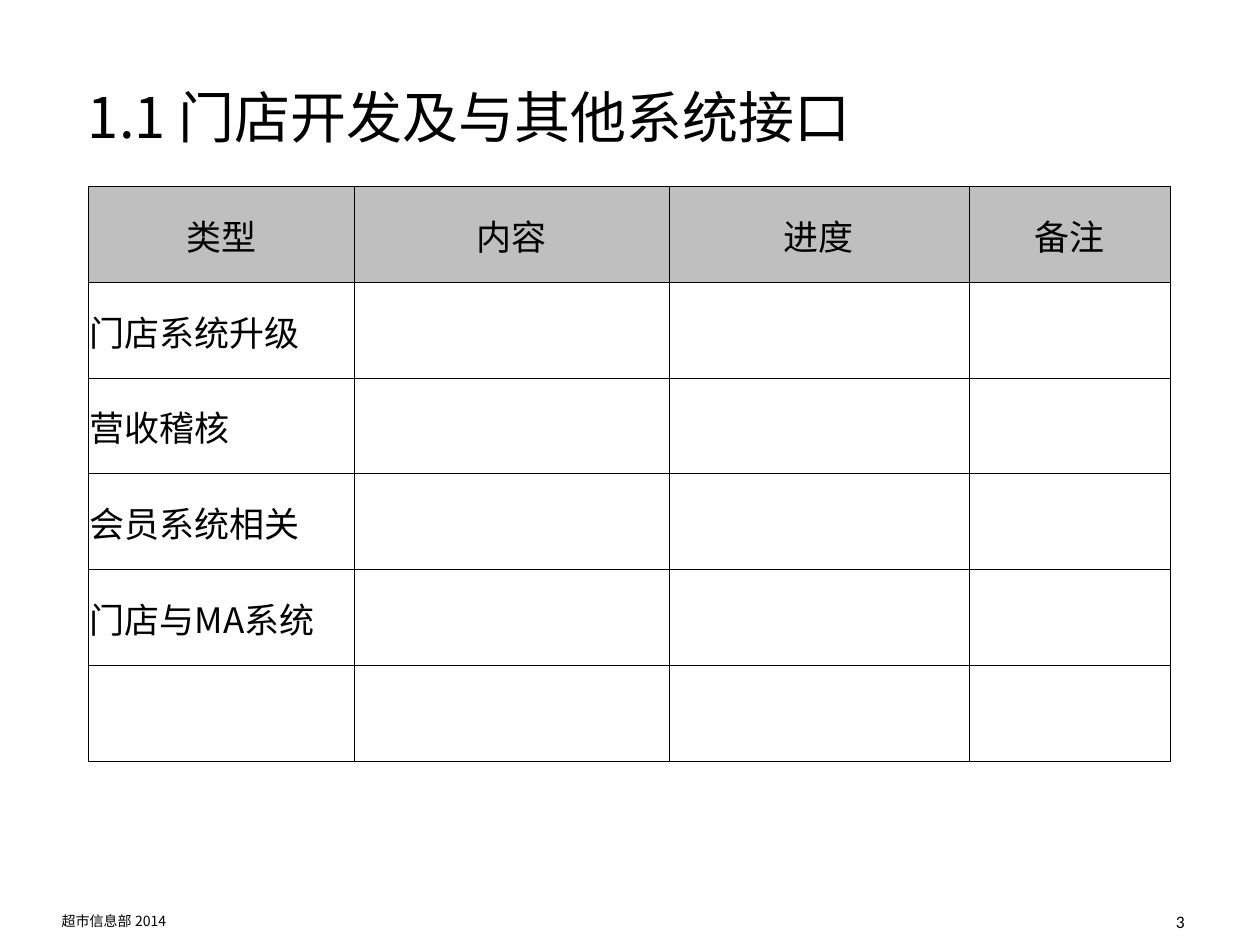
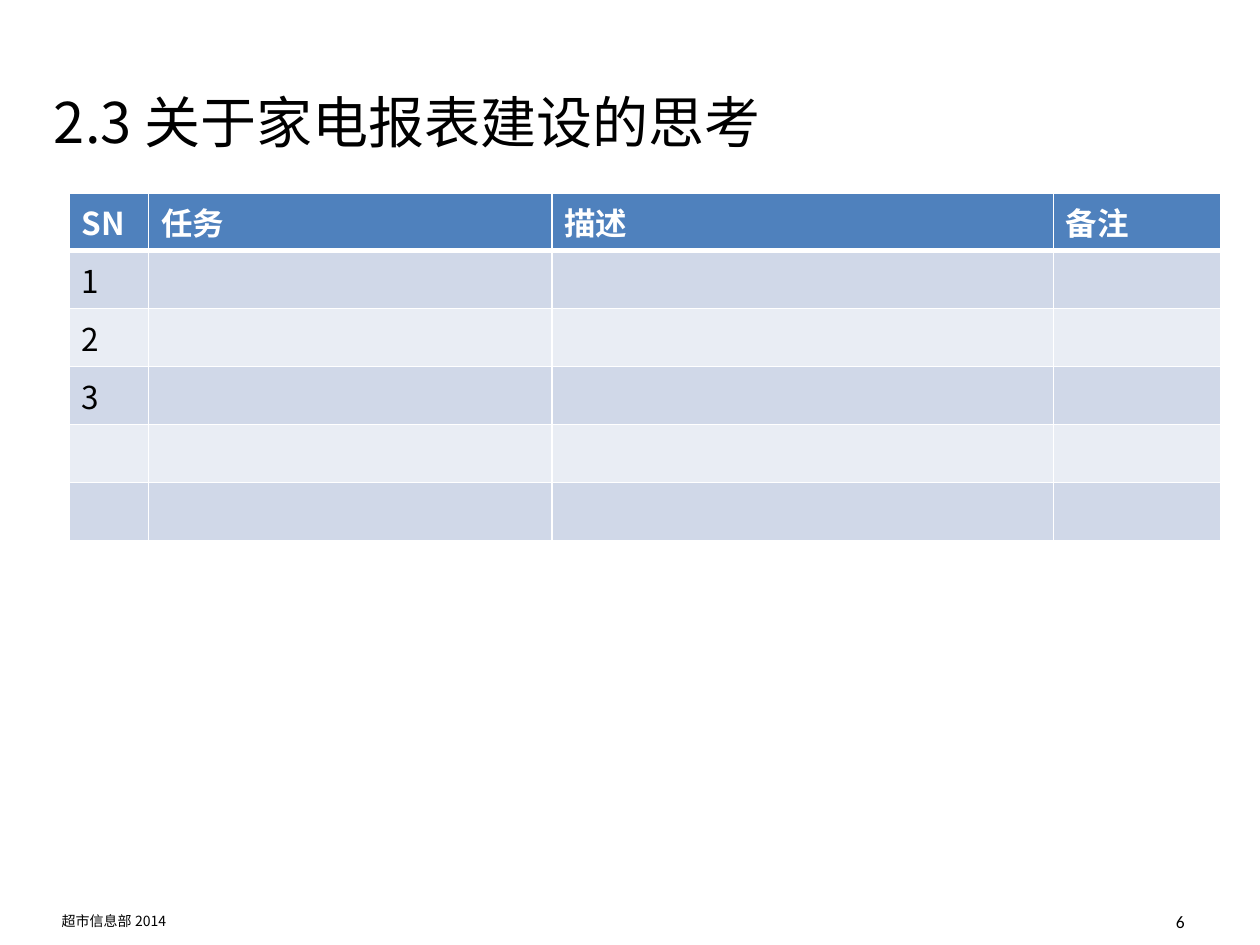
from lxml import etree
from pptx import Presentation
from pptx.dml.color import RGBColor
from pptx.enum.text import MSO_ANCHOR as ANCHOR, PP_ALIGN as ALIGN
from pptx.oxml.ns import qn
from pptx.util import Inches, Pt

BLACK = RGBColor(0x00, 0x00, 0x00)
WHITE = RGBColor(0xFF, 0xFF, 0xFF)
GREY = RGBColor(0xBF, 0xBF, 0xBF)
BLUE = RGBColor(0x4F, 0x81, 0xBD)
BANDS = [RGBColor(0xD0, 0xD8, 0xE8), RGBColor(0xE9, 0xED, 0xF4)]
CJK = "Noto Sans CJK SC"
LATIN = "Calibri"
FOOTER = "超市信息部 2014"


def style_font(font, size, color=BLACK, name=CJK, bold=False):
    font.size, font.bold, font.name = Pt(size), bold, name
    font.color.rgb = color


def set_text(tf, text, size, color=BLACK, name=CJK, bold=False, align=ALIGN.LEFT):
    tf.text = text
    p = tf.paragraphs[0]
    p.alignment = align
    for r in p.runs:
        style_font(r.font, size, color, name, bold)
        ea = etree.SubElement(r.font._element, qn("a:ea"))
        ea.set("typeface", name)
    if not text:
        style_font(p.font, size, color, name, bold)


def add_text(slide, box, text, size, anchor=ANCHOR.TOP, **style):
    tf = slide.shapes.add_textbox(*map(Inches, box)).text_frame
    tf.word_wrap = True
    tf.vertical_anchor = anchor
    set_text(tf, text, size, **style)


def add_frame(prs, title, title_box, number):
    """Add a slide with its title, footer and page number."""
    slide = prs.slides.add_slide(prs.slide_layouts[6])
    add_text(slide, (0.39, 7.19, 1.48, 0.24), FOOTER, 8)
    add_text(slide, title_box, title, 32, ANCHOR.MIDDLE)
    add_text(slide, (7.17, 7.18, 2.33, 0.4), str(number), 10,
             name=LATIN, align=ALIGN.RIGHT)
    return slide


def set_borders(cell, color, **widths):
    """Draw the cell edges L, R, T and B at the given widths in points."""
    tcPr = cell._tc.get_or_add_tcPr()
    for i, side in enumerate("LRTB"):
        ln = etree.Element(qn(f"a:ln{side}"), w=str(Pt(widths[side])))
        fill = etree.SubElement(ln, qn("a:solidFill"))
        etree.SubElement(fill, qn("a:srgbClr"), val=str(color))
        tcPr.insert(i, ln)


def add_grid(slide, left, top, col_widths, row_height, rows):
    """Add a table; rows may be shorter than the number of columns."""
    width, height = sum(col_widths), row_height * len(rows)
    table = slide.shapes.add_table(len(rows), len(col_widths), Inches(left), Inches(top),
                                   Inches(width), Inches(height)).table
    for col, col_width in zip(table.columns, col_widths):
        col.width = Inches(col_width)
    for row in table.rows:
        row.height = Inches(row_height)
    for i, texts in enumerate(rows):
        for j in range(len(col_widths)):
            yield i, table.cell(i, j), texts[j] if j < len(texts) else ""


def add_ruled_table(slide, left, top, col_widths, row_height, rows):
    for i, cell, text in add_grid(slide, left, top, col_widths, row_height, rows):
        header = i == 0
        set_text(cell.text_frame, text, 20, align=ALIGN.CENTER if header else ALIGN.LEFT)
        cell.vertical_anchor = ANCHOR.MIDDLE
        cell.margin_left = cell.margin_right = cell.margin_top = Inches(0.01)
        cell.margin_bottom = 0
        set_borders(cell, BLACK, L=0.5, R=0.5, T=0.5, B=0.5)
        if header:
            cell.fill.solid()
            cell.fill.fore_color.rgb = GREY
        else:
            cell.fill.background()


def add_banded_table(slide, left, top, col_widths, row_height, rows):
    for i, cell, text in add_grid(slide, left, top, col_widths, row_height, rows):
        header = i == 0
        set_text(cell.text_frame, text, 18, WHITE if header else BLACK, bold=header)
        set_borders(cell, WHITE, L=1, R=1, T=3 if i == 1 else 1, B=3 if header else 1)
        cell.fill.solid()
        cell.fill.fore_color.rgb = BLUE if header else BANDS[(i - 1) % 2]


def interface_slide(prs):
    slide = add_frame(prs, "1.1 门店开发及与其他系统接口", (0.6, 0.3, 8.9, 1.25), 3)
    rows = [["类型", "内容", "进度", "备注"], ["门店系统升级"], ["营收稽核"],
            ["会员系统相关"], ["门店与MA系统"], []]
    add_ruled_table(slide, 0.7, 1.48, [2.11, 2.5, 2.38, 1.6], 0.76, rows)


def report_slide(prs):
    slide = add_frame(prs, "2.3 关于家电报表建设的思考", (0.33, 0.4, 9.31, 1.13), 6)
    rows = [["SN", "任务", "描述", "备注"], ["1"], ["2"], ["3"], [], []]
    add_banded_table(slide, 0.55, 1.53, [0.63, 3.2, 3.98, 1.33], 0.46, rows)


def main():
    prs = Presentation()
    prs.slide_width, prs.slide_height = Inches(10), Inches(7.5)
    interface_slide(prs)
    report_slide(prs)
    prs.save("out.pptx")


if __name__ == "__main__":
    main()
